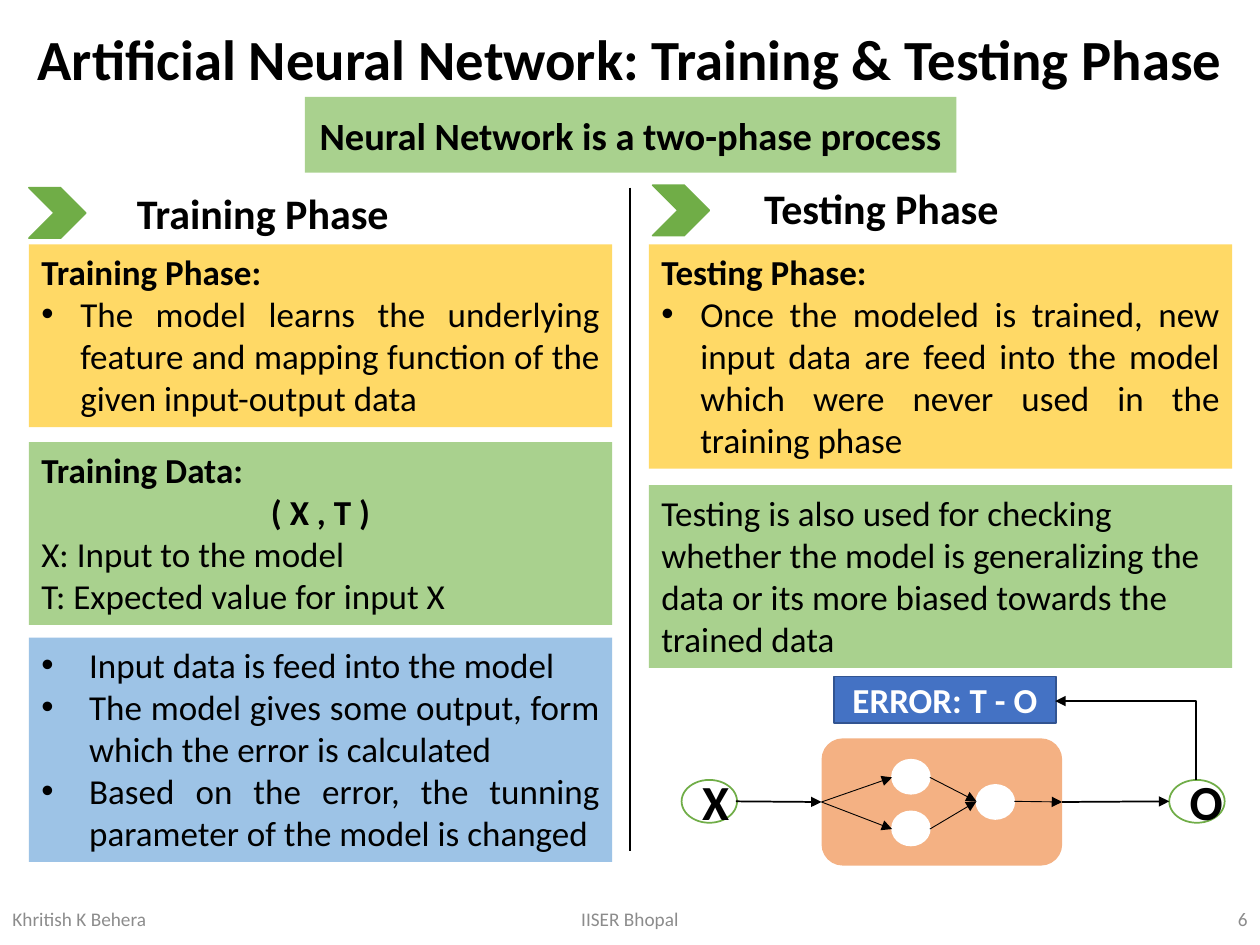
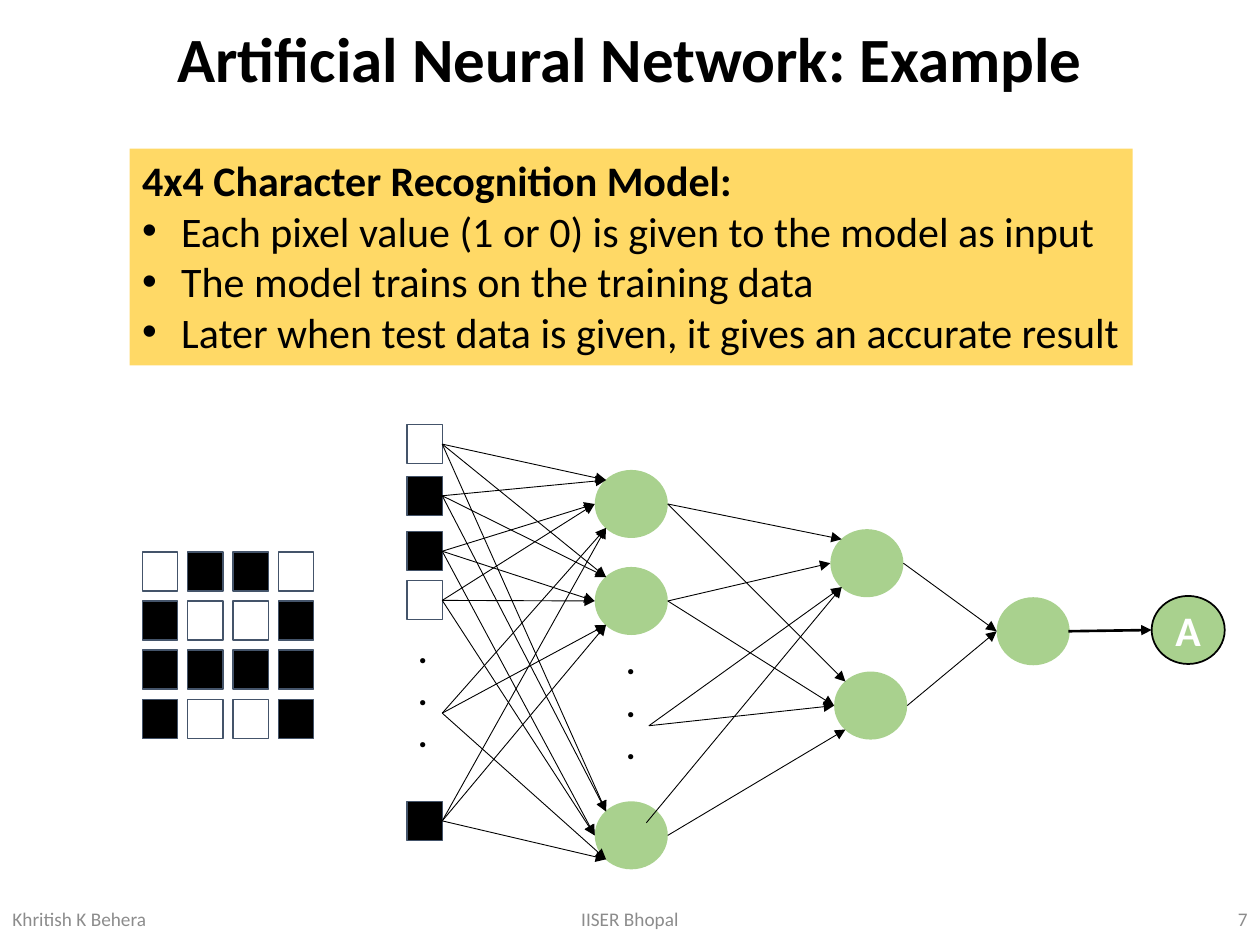
from lxml.etree import SubElement
from pptx import Presentation
from pptx.dml.color import RGBColor
from pptx.enum.shapes import MSO_CONNECTOR, MSO_SHAPE
from pptx.enum.text import MSO_ANCHOR, MSO_AUTO_SIZE, PP_ALIGN
from pptx.oxml.ns import qn
from pptx.util import Inches, Pt

COLORS = {
    "black": "000000", "white": "FFFFFF", "gray": "8C8C8C", "slate": "44546A",
    "light green": "A9D18E", "green": "70AD47", "yellow": "FFD966",
    "light blue": "9DC3E6", "orange": "F4B183", "blue": "4472C4", "dark blue": "325491",
}
FONT = "Calibri"
CENTERED = {"alignment": PP_ALIGN.CENTER}
BOLD_CENTERED = {"alignment": PP_ALIGN.CENTER, "bold": True}
HEADING = {"bold": True}
BULLET = {"alignment": PP_ALIGN.JUSTIFY, "indent": 0.31}
WIDE_BULLET = {"alignment": PP_ALIGN.JUSTIFY, "indent": 0.38}


def add_box(slide, kind, at, fill=None, line=None, line_width=1, paragraphs=(),
            size=20, color="black", anchor=MSO_ANCHOR.MIDDLE):
    bounds = [Inches(value) for value in at]
    if kind is None:
        shape = slide.shapes.add_textbox(*bounds)
    else:
        shape = slide.shapes.add_shape(kind, *bounds)
        shape.shadow.inherit = False
    if fill:
        shape.fill.solid()
        shape.fill.fore_color.rgb = RGBColor.from_string(COLORS[fill])
    else:
        shape.fill.background()
    if line:
        shape.line.color.rgb = RGBColor.from_string(COLORS[line])
        shape.line.width = Pt(line_width)
    else:
        shape.line.fill.background()
    if not paragraphs:
        return shape
    frame = shape.text_frame
    growing = anchor == MSO_ANCHOR.TOP
    frame_format = {
        "word_wrap": True,
        "vertical_anchor": anchor,
        "auto_size": MSO_AUTO_SIZE.SHAPE_TO_FIT_TEXT if growing else MSO_AUTO_SIZE.NONE,
    }
    for name, value in frame_format.items():
        setattr(frame, name, value)
    for index, (text, style) in enumerate(paragraphs):
        paragraph = frame.add_paragraph() if index else frame.paragraphs[0]
        paragraph.alignment = style.get("alignment", PP_ALIGN.LEFT)
        if "indent" in style:
            properties = paragraph._p.get_or_add_pPr()
            properties.set("marL", str(Inches(style["indent"])))
            properties.set("indent", str(-Inches(style["indent"])))
            SubElement(properties, qn("a:buFont")).set("typeface", "Arial")
            SubElement(properties, qn("a:buChar")).set("char", "•")
        run = paragraph.add_run()
        run.text = text
        font_format = {"name": FONT, "size": Pt(size), "bold": style.get("bold", False)}
        for name, value in font_format.items():
            setattr(run.font, name, value)
        run.font.color.rgb = RGBColor.from_string(COLORS[color])
    return shape


def add_line(slide, begin, end, width=0.5, arrow=True, begin_join=None, end_join=None,
             kind=MSO_CONNECTOR.STRAIGHT):
    connector = slide.shapes.add_connector(kind, *[Inches(value) for value in begin + end])
    if begin_join:
        connector.begin_connect(*begin_join)
    if end_join:
        connector.end_connect(*end_join)
    connector.line.color.rgb = RGBColor.from_string(COLORS["black"])
    connector.line.width = Pt(width)
    properties = connector._element.spPr
    if arrow:
        SubElement(properties.find(qn("a:ln")), qn("a:tailEnd")).set("type", "triangle")
    SubElement(properties, qn("a:effectLst"))
    return connector


presentation = Presentation()
presentation.slide_width = Inches(10)
presentation.slide_height = Inches(7.5)

slides = []
for title_text, title_size, number in [
    ("Artificial Neural Network: Training & Testing Phase", 32.4, "6"),
    ("Artificial Neural Network: Example", 36, "7"),
]:
    slide = presentation.slides.add_slide(presentation.slide_layouts[5])
    slides.append(slide)
    title = slide.shapes.title
    title_place = {"left": 0, "top": 0.01, "width": 10, "height": 0.96}
    for name, value in title_place.items():
        setattr(title, name, Inches(value))
    title.text_frame.text = title_text
    title.text_frame.auto_size = MSO_AUTO_SIZE.NONE
    title.text_frame.vertical_anchor = MSO_ANCHOR.MIDDLE
    paragraph = title.text_frame.paragraphs[0]
    paragraph.alignment = PP_ALIGN.CENTER
    paragraph.line_spacing = 0.9
    font = paragraph.runs[0].font
    for name, value in {"name": FONT, "size": Pt(title_size), "bold": True}.items():
        setattr(font, name, value)
    font.color.rgb = RGBColor.from_string(COLORS["black"])
    for left, width, text, alignment in [
        (0, 2.25, "Khritish K Behera", PP_ALIGN.LEFT),
        (3.31, 3.38, "IISER Bhopal", PP_ALIGN.CENTER),
        (7.75, 2.25, number, PP_ALIGN.RIGHT),
    ]:
        add_box(slide, None, (left, 7.09, width, 0.4), size=11, color="gray",
                paragraphs=[(text, {"alignment": alignment})])

phases, example = slides

add_box(phases, MSO_SHAPE.RECTANGLE, (2.42, 0.77, 5.17, 0.6), "light green", size=22,
        paragraphs=[("Neural Network is a two-phase process", BOLD_CENTERED)])
for text, left, top, chevron_left, chevron_top in [
    ("Training Phase", 0.69, 1.43, 0.23, 1.49),
    ("Testing Phase", 5.6, 1.39, 5.18, 1.47),
]:
    add_box(phases, MSO_SHAPE.RECTANGLE, (left, top, 2.79, 0.51), "white", size=24,
            paragraphs=[(text, BOLD_CENTERED)])
    add_box(phases, MSO_SHAPE.CHEVRON, (chevron_left, chevron_top, 0.45, 0.4), "green", "green")
add_line(phases, (5, 1.49), (5, 6.75), 1.5, arrow=False)

for left, top, height, fill, paragraphs in [
    (0.23, 1.94, 1.45, "yellow", [
        ("Training Phase:", HEADING),
        ("The model learns the underlying feature and mapping function of the given "
         "input-output data", BULLET),
    ]),
    (0.23, 3.51, 1.45, "light green", [
        ("Training Data:", HEADING),
        ("( X , T )", BOLD_CENTERED),
        ("X: Input to the model", {}),
        ("T: Expected value for input X", {}),
    ]),
    (0.23, 5.06, 1.78, "light blue", [
        ("Input data is feed into the model", WIDE_BULLET),
        ("The model gives some output, form which the error is calculated", WIDE_BULLET),
        ("Based on the error, the tunning parameter of the model is changed", WIDE_BULLET),
    ]),
    (5.15, 1.94, 1.78, "yellow", [
        ("Testing Phase:", HEADING),
        ("Once the modeled is trained, new input data are feed into the model which were "
         "never used in the training phase", BULLET),
    ]),
    (5.15, 3.85, 1.45, "light green", [
        ("Testing is also used for checking whether the model is generalizing the data or "
         "its more biased towards the trained data", {}),
    ]),
]:
    add_box(phases, MSO_SHAPE.RECTANGLE, (left, top, 4.63, height), fill,
            paragraphs=paragraphs, anchor=MSO_ANCHOR.TOP)

model = add_box(phases, MSO_SHAPE.FLOWCHART_ALTERNATE_PROCESS, (6.52, 5.86, 1.91, 1.01), "orange")
input_node, output_node = [
    add_box(phases, MSO_SHAPE.OVAL, (left, 6.19, 0.44, 0.34), "white", "green",
            paragraphs=[(text, BOLD_CENTERED)], size=28)
    for text, left in [("X", 5.41), ("O", 9.28)]
]
error = add_box(phases, MSO_SHAPE.FLOWCHART_PROCESS, (6.62, 5.37, 1.76, 0.37), "blue", "dark blue",
                paragraphs=[("ERROR: T - O", BOLD_CENTERED)], color="white")
add_line(phases, (5.84, 6.36), (6.52, 6.36), 1, end_join=(model, 1))
add_line(phases, (8.43, 6.36), (9.28, 6.36), 1, begin_join=(model, 3))

feedback = add_line(phases, (9.5, 6.19), (8.38, 5.56), 1, begin_join=(output_node, 0),
                    end_join=(error, 3), kind=MSO_CONNECTOR.ELBOW)
feedback_place = {"left": 8.62, "top": 5.32, "width": 0.63, "height": 1.12}
for name, value in feedback_place.items():
    setattr(feedback, name, Inches(value))
transform = feedback._element.spPr.find(qn("a:xfrm"))
transform.attrib.clear()
transform.set("rot", "16200000")
transform.set("flipV", "1")
feedback._element.spPr.find(qn("a:prstGeom")).set("prst", "bentConnector2")

for left, top in [(7.08, 6.03), (7.08, 6.44), (7.75, 6.23)]:
    add_box(phases, MSO_SHAPE.OVAL, (left, top, 0.3, 0.27), "white", "white")
for middle in (6.17, 6.58):
    add_line(phases, (6.52, 6.36), (7.08, middle), begin_join=(model, 1))
    add_line(phases, (7.38, middle), (7.75, 6.36))
add_line(phases, (8.05, 6.36), (8.43, 6.36), end_join=(model, 3))

PIXEL_FILLS = {"0": "white", "1": "black"}
PIXEL_SIZE = (0.28, 0.31)
NODE_SIZE = (0.58, 0.54)
ENTRY_OFFSETS = {"upper": (0.09, 0.08), "middle": (0, 0.27), "lower": (0.09, 0.46)}

for row, bits in enumerate(["0110", "1001", "1111", "1001"]):
    for column, bit in enumerate(bits):
        add_box(example, MSO_SHAPE.RECTANGLE, (1.13 + 0.36 * column, 4.38 + 0.39 * row) + PIXEL_SIZE,
                PIXEL_FILLS[bit], "slate", 0.75)

input_pixels = [
    add_box(example, MSO_SHAPE.RECTANGLE, (3.23, top) + PIXEL_SIZE, PIXEL_FILLS[bit], "slate", 0.75)
    for top, bit in [(3.37, "0"), (3.78, "1"), (4.22, "1"), (4.61, "0"), (6.36, "1")]
]
for left, top in [(3.22, 4.94), (4.87, 5.03)]:
    add_box(example, None, (left, top, 0.28, 1.45), paragraphs=[(".", HEADING)] * 3,
            anchor=MSO_ANCHOR.TOP)

hidden_nodes = [(4.72, 3.73), (4.72, 4.5), (4.72, 6.36)]
second_nodes = [(6.59, 4.2), (6.62, 5.33)]
for node in hidden_nodes + second_nodes + [(7.91, 4.74)]:
    add_box(example, MSO_SHAPE.OVAL, node + NODE_SIZE, "light green")

pixel_entries = ["upper", "upper", "middle", "middle", "lower"]
for left, top in hidden_nodes:
    for pixel, entry in zip(input_pixels, pixel_entries):
        across, down = ENTRY_OFFSETS[entry]
        add_line(example, (3.51, 4), (left + across, top + down), begin_join=(pixel, 3))
    across, down = ENTRY_OFFSETS["lower"]
    add_line(example, (3.51, 5.66), (left + across, top + down))

for begin, target, entry in [
    ((5.3, 4), 0, "upper"), ((5.3, 4), 1, "upper"),
    ((5.3, 4.77), 0, "middle"), ((5.3, 4.77), 1, "middle"),
    ((5.15, 5.76), 0, "lower"), ((5.15, 5.76), 1, "middle"),
    ((5.13, 6.53), 0, "lower"), ((5.3, 6.63), 1, "lower"),
]:
    left, top = second_nodes[target]
    across, down = ENTRY_OFFSETS[entry]
    add_line(example, begin, (left + across, top + down))
for left, top in second_nodes:
    add_line(example, (left + 0.58, top + 0.27), (7.91, 5.01))

add_box(example, MSO_SHAPE.OVAL, (9.14, 4.73) + NODE_SIZE, "light green", "black",
        paragraphs=[("A", BOLD_CENTERED)], size=24, color="white")
add_line(example, (8.48, 5.01), (9.14, 5), 1.5)
add_box(example, MSO_SHAPE.RECTANGLE, (1.03, 1.18, 7.96, 1.72), "yellow", size=24,
        anchor=MSO_ANCHOR.TOP, paragraphs=[
            ("4x4 Character Recognition Model:", HEADING),
            ("Each pixel value (1 or 0) is given to the model as input", BULLET),
            ("The model trains on the training data", BULLET),
            ("Later when test data is given, it gives an accurate result", BULLET),
        ])

presentation.save("out.pptx")
